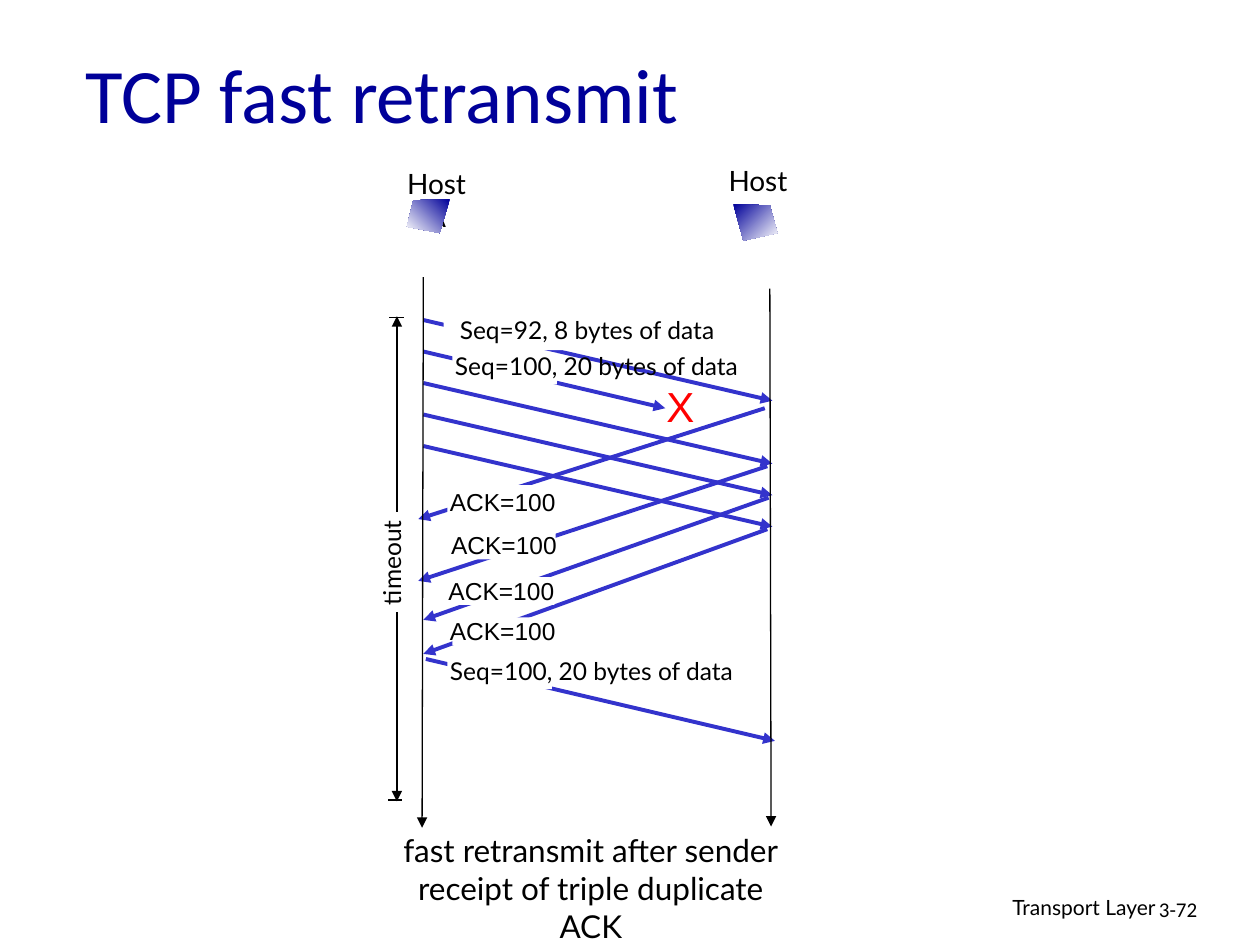
"""Build the TCP fast retransmit sequence diagram slide."""
from pptx import Presentation, util as u
from pptx.dml.color import RGBColor
from pptx.enum import shapes, text
from pptx.oxml.ns import qn
from lxml import etree

BLACK, WHITE, BLUE, NAVY, RED = "000000", "FFFFFF", "3333CC", "000099", "FF0000"
SENDER, RECEIVER = 3.36, 6.13
FIRST_SEND, SEND_GAP, TRAVEL = 2.54, 0.25, 0.64
LOST_SEGMENT = 1

ACKS = [
    (6.07, 3.24, 3.32, 4.12),
    (6.09, 3.70, 3.32, 4.61),
    (6.10, 3.95, 3.36, 4.92),
    (6.09, 4.20, 3.36, 5.19),
]
RETRANSMISSION = (3.38, 5.23, 6.15, 5.88)
TIMELINES = [(3.36, 2.20, 3.35, 6.57), (6.11, 2.29, 6.12, 6.56)]
TIMEOUT_ARROWS = [(3.15, 4.06, 3.15, 2.51), (3.15, 4.86, 3.15, 6.36)]
TIMEOUT_ENDS = [(3.09, 2.52, 3.21, 2.52), (3.08, 6.35, 3.19, 6.35)]

RESENT = "Seq=100, 20 bytes of data"
MESSAGES = [
    ("Seq=92, 8 bytes of data", "Lato", (3.52, 2.45, 2.28, 0.33), (3.52, 2.45, 2.28, 0.33)),
    ("ACK=100", "Arial", (3.47, 3.82, 1.04, 0.33), (3.55, 3.85, 0.82, 0.27)),
    ("ACK=100", "Arial", (3.48, 4.16, 1.04, 0.33), (3.59, 4.22, 0.82, 0.22)),
    ("ACK=100", "Arial", (3.46, 4.52, 1.04, 0.33), (3.58, 4.58, 0.82, 0.22)),
    ("ACK=100", "Arial", (3.47, 4.84, 1.04, 0.33), (3.59, 4.90, 0.82, 0.22)),
    (RESENT, "Lato", (3.49, 2.74, 2.49, 0.33), (3.59, 2.80, 0.83, 0.25)),
    (RESENT, "Lato", (3.45, 5.16, 2.49, 0.33), (3.55, 5.22, 0.83, 0.25)),
]
HOSTS = [
    ("Host A", (3.04, 1.27, 0.85, 0.37), 225,
     [(3.57, 1.58), (3.28, 1.59), (3.23, 1.80), (3.49, 1.85)]),
    ("Host B", (5.59, 1.25, 0.85, 0.37), 315,
     [(5.82, 1.62), (6.11, 1.63), (6.17, 1.85), (5.90, 1.91)]),
]
CONCLUSION = ["fast retransmit after sender", "receipt of triple duplicate ACK"]


def rgb(value):
    return RGBColor.from_string(value)


def inches(values):
    return [u.Inches(value) for value in values]


def style(paragraph, font_name, size, color, align):
    paragraph.alignment = align
    paragraph.font.name = font_name
    paragraph.font.size = u.Pt(size)
    paragraph.font.color.rgb = rgb(color)


def add_line(slide, ends, color=BLACK, width=0.75, arrow=True):
    line = slide.shapes.add_connector(shapes.MSO_CONNECTOR.STRAIGHT, *inches(ends))
    line.line.color.rgb = rgb(color)
    line.line.width = u.Pt(width)
    properties = line._element.spPr
    if arrow:
        etree.SubElement(properties.find(qn("a:ln")), qn("a:tailEnd"), type="triangle")
    etree.SubElement(properties, qn("a:effectLst"))


def add_label(slide, lines, place, size, font_name="Lato", color=BLACK,
              align=text.PP_ALIGN.CENTER, wrap=False):
    frame = slide.shapes.add_textbox(*inches(place)).text_frame
    frame.word_wrap = wrap
    frame.text = "\n".join(lines)
    for paragraph in frame.paragraphs:
        style(paragraph, font_name, size, color, align)
    return frame


def add_patch(slide, place):
    patch = slide.shapes.add_shape(shapes.MSO_SHAPE.RECTANGLE, *inches(place))
    patch.shadow.inherit = False
    patch.fill.solid()
    patch.fill.fore_color.rgb = rgb(WHITE)
    patch.line.fill.background()


def add_host_mark(slide, corners, angle):
    first, *others = [tuple(inches(corner)) for corner in corners]
    builder = slide.shapes.build_freeform(*first)
    builder.add_line_segments(others, close=True)
    mark = builder.convert_to_shape()
    mark.shadow.inherit = False
    mark.line.fill.background()
    mark.fill.gradient()
    mark.fill.gradient_angle = angle
    for stop, color, position in zip(mark.fill.gradient_stops, (NAVY, WHITE), (0, 1)):
        stop.color.rgb = rgb(color)
        stop.position = position


def main():
    deck = Presentation()
    deck.slide_width, deck.slide_height = inches((10, 7.5))
    slide = deck.slides.add_slide(deck.slide_layouts[5])

    title = slide.shapes.title
    title.left, title.top, title.width, title.height = inches((0.58, 0.24, 5.51, 0.99))
    title.text_frame.text = "TCP fast retransmit"
    title.text_frame.vertical_anchor = text.MSO_ANCHOR.MIDDLE
    style(title.text_frame.paragraphs[0], "Calibri", 44, NAVY, text.PP_ALIGN.LEFT)

    for index in range(5):
        top = FIRST_SEND + index * SEND_GAP
        arrival = (5.28, 3.24) if index == LOST_SEGMENT else (RECEIVER, top + TRAVEL)
        add_line(slide, (SENDER, top, *arrival), BLUE, 2.25)
    for ends in [*ACKS, RETRANSMISSION]:
        add_line(slide, ends, BLUE, 2.25)
    for ends in TIMELINES + TIMEOUT_ARROWS:
        add_line(slide, ends)
    for ends in TIMEOUT_ENDS:
        add_line(slide, ends, arrow=False)

    for _, _, _, patch in MESSAGES:
        add_patch(slide, patch)
    for message, font_name, place, _ in MESSAGES:
        add_label(slide, [message], place, 14, font_name)
    for host, place, angle, corners in HOSTS:
        add_label(slide, [host], place, 16)
        add_host_mark(slide, corners, angle)

    add_label(slide, ["X"], (5.19, 2.97, 0.31, 0.5), 24, "Arial", RED)
    timeout = add_label(slide, ["timeout"], (2.94, 4.09, 0.43, 0.75), 14)
    timeout._txBody.bodyPr.set("vert", "vert270")
    conclusion = add_label(slide, CONCLUSION, (3.07, 6.55, 3.48, 0.7), 18, wrap=True)
    conclusion.margin_right = u.Inches(0.34)
    add_label(slide, ["Transport Layer"], (6.1, 7.05, 3.17, 0.31), 12,
              align=text.PP_ALIGN.RIGHT, wrap=True)
    add_label(slide, ["3-72"], (9.1, 7.07, 0.74, 0.3), 12, "Calibri",
              align=text.PP_ALIGN.LEFT, wrap=True)
    deck.save("out.pptx")


if __name__ == "__main__":
    main()
